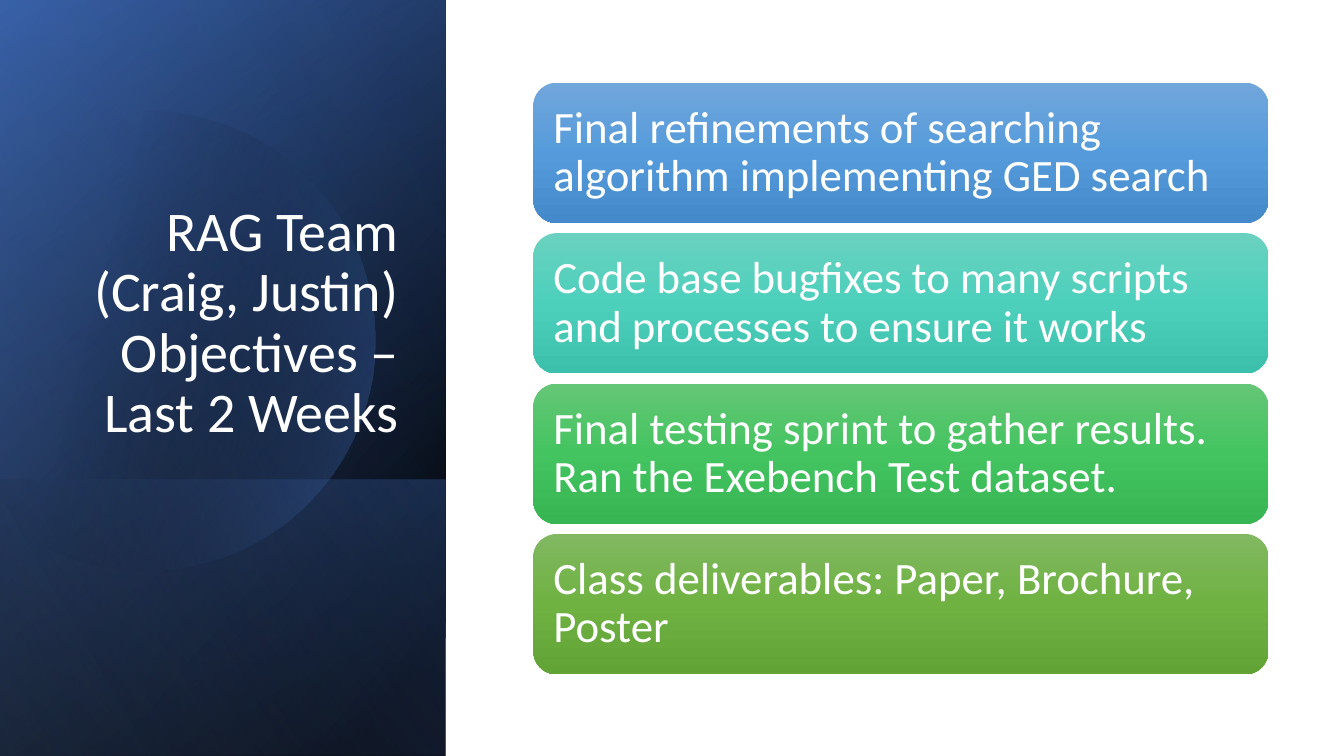
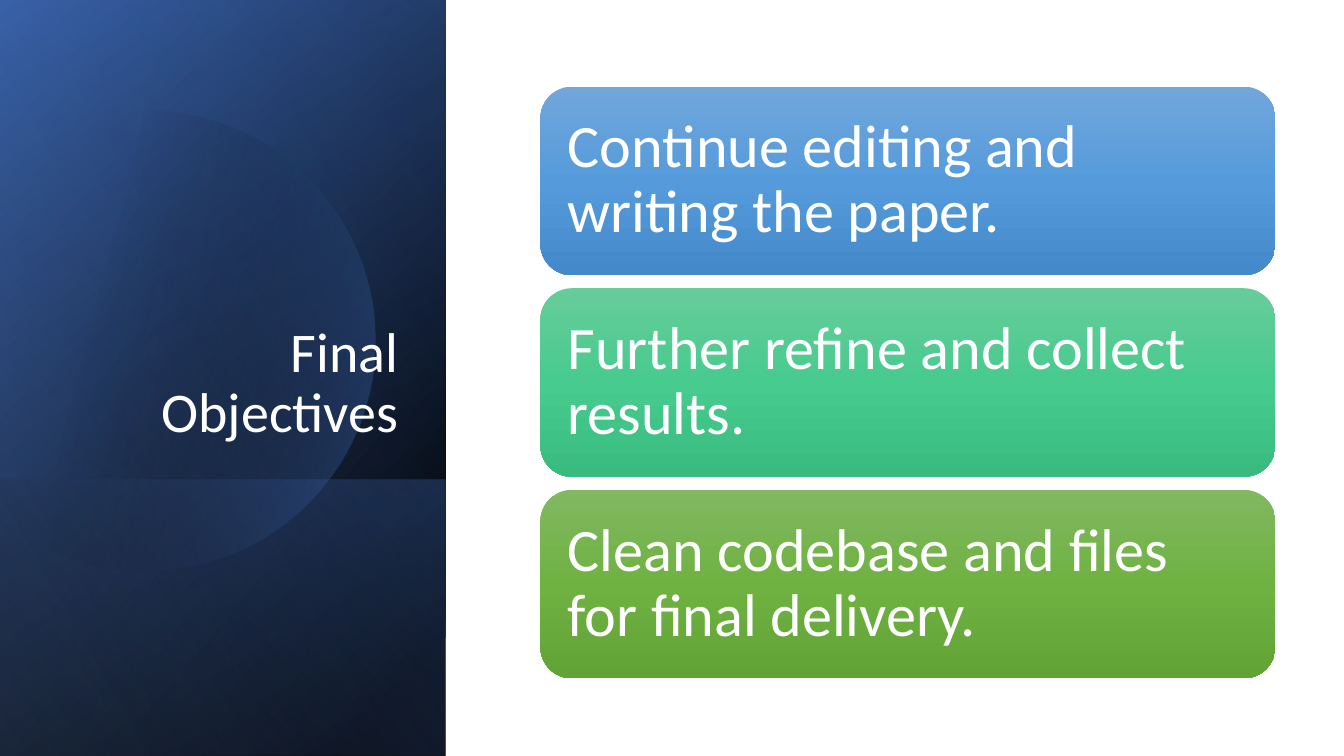
from math import acos, cos, sin

from lxml.etree import SubElement
from pptx import Presentation
from pptx.dml.color import RGBColor
from pptx.enum.shapes import MSO_SHAPE
from pptx.enum.text import MSO_ANCHOR, PP_ALIGN
from pptx.oxml.ns import qn
from pptx.util import Inches, Pt

# Colours
WHITE = RGBColor(0xFF, 0xFF, 0xFF)
BLACK = RGBColor(0x00, 0x00, 0x00)
NAVY = RGBColor(0x2F, 0x55, 0x97)
BLUE = RGBColor(0x44, 0x72, 0xC4)
PALE_BLUE = RGBColor(0x8F, 0xAA, 0xDC)

# Card gradients, top to bottom
SKY = [RGBColor(0x71, 0xA6, 0xDB), RGBColor(0x55, 0x9B, 0xDB), RGBColor(0x44, 0x8A, 0xCA)]
TEAL = [RGBColor(0x6A, 0xD1, 0xC0), RGBColor(0x4C, 0xD0, 0xBC), RGBColor(0x3C, 0xC0, 0xAC)]
MINT = [RGBColor(0x67, 0xCC, 0x9A), RGBColor(0x47, 0xCB, 0x8E), RGBColor(0x39, 0xBB, 0x7F)]
GREEN = [RGBColor(0x64, 0xC6, 0x77), RGBColor(0x44, 0xC4, 0x60), RGBColor(0x36, 0xB5, 0x52)]
LIME = [RGBColor(0x81, 0xB8, 0x61), RGBColor(0x6F, 0xB2, 0x42), RGBColor(0x62, 0xA3, 0x36)]

# Content
SLIDES = [
    {
        "title": "RAG Team (Craig, Justin) Objectives – Last 2 Weeks",
        "left": 5.29, "top": 0.82, "gap": 0.1, "inset": 0.13, "size": 32,
        "cards": [
            ("Final refinements of searching algorithm implementing GED search", SKY),
            ("Code base bugfixes to many scripts and processes to ensure it works", TEAL),
            ("Final testing sprint to gather results. Ran the Exebench Test dataset.", GREEN),
            ("Class deliverables: Paper, Brochure, Poster", LIME),
        ],
    },
    {
        "title": "Final Objectives",
        "left": 5.36, "top": 0.86, "gap": 0.13, "inset": 0.18, "size": 43,
        "cards": [
            ("Continue editing and writing the paper.", SKY),
            ("Further refine and collect results.", MINT),
            ("Clean codebase and files for final delivery.", LIME),
        ],
    },
]

# Layout, in inches
SLIDE_WIDTH, SLIDE_HEIGHT = 13.33, 7.5
PANEL_WIDTH = 4.42
FOOT_TOP = 4.76
CARD_WIDTH, STACK_HEIGHT = 7.29, 5.87
TITLE_BOX = (0.64, 1.84, 3.41, 2.62)
DISC_X, DISC_Y, DISC_RADIUS = 1.44, 3.38, 2.28
DISC_STEPS = 120

# Panel layers: top, clockwise angle, stops of (position %, colour, opacity %)
LAYERS_BELOW_DISC = [
    (0, 220, [(8, BLACK, 100), (100, NAVY, 100)]),
    (0, 240, [(0, BLACK, 0), (99, BLUE, 46)]),
    (FOOT_TOP, 140, [(2, BLUE, 29), (100, BLACK, 30)]),
]
DISC_ANGLE, DISC_STOPS = 14, [(29, BLACK, 0), (100, BLUE, 43)]
LAYER_ABOVE_DISC = (0, 150, [(0, BLACK, 0), (99, PALE_BLUE, 11)])


def paint_gradient(shape, angle, stops):
    shape.shadow.inherit = False
    shape.line.fill.background()
    shape.fill.gradient()
    shape.fill.gradient_angle = (360 - angle) % 360
    stop_list = shape.element.spPr.find(qn("a:gradFill")).find(qn("a:gsLst"))
    for stop in list(stop_list):
        stop_list.remove(stop)
    for position, colour, opacity in stops:
        stop = SubElement(stop_list, qn("a:gs"), pos=str(position * 1000))
        paint = SubElement(stop, qn("a:srgbClr"), val=str(colour))
        if opacity < 100:
            SubElement(paint, qn("a:alpha"), val=str(opacity * 1000))


def write_text(shape, text, size, align, frame_format):
    frame = shape.text_frame
    for name, value in {"word_wrap": True, **frame_format}.items():
        setattr(frame, name, value)
    paragraph = frame.paragraphs[0]
    paragraph.text = text
    paragraph.alignment = align
    paragraph.line_spacing = 0.9
    for name, value in {"name": "Calibri", "size": Pt(size)}.items():
        setattr(paragraph.font, name, value)
    paragraph.font.color.rgb = WHITE


def add_layer(slide, top, angle, stops):
    layer = slide.shapes.add_shape(
        MSO_SHAPE.RECTANGLE, 0, Inches(top), Inches(PANEL_WIDTH), Inches(SLIDE_HEIGHT - top))
    paint_gradient(layer, angle, stops)


def add_disc(slide):
    # Circle cut by the left edge of the slide
    reach = acos(-DISC_X / DISC_RADIUS)
    angles = [reach * (2 * step / DISC_STEPS - 1) for step in range(DISC_STEPS + 1)]
    points = [(Inches(DISC_X + DISC_RADIUS * cos(angle)),
               Inches(DISC_Y + DISC_RADIUS * sin(angle))) for angle in angles]
    builder = slide.shapes.build_freeform(*points[0])
    builder.add_line_segments(points[1:], close=True)
    paint_gradient(builder.convert_to_shape(), DISC_ANGLE, DISC_STOPS)


def add_title_panel(slide, title):
    for layer in LAYERS_BELOW_DISC:
        add_layer(slide, *layer)
    add_disc(slide)
    add_layer(slide, *LAYER_ABOVE_DISC)
    title_box = slide.shapes.add_textbox(*map(Inches, TITLE_BOX))
    write_text(title_box, title, 40, PP_ALIGN.RIGHT, {"vertical_anchor": MSO_ANCHOR.BOTTOM})


def add_cards(slide, content):
    cards, gap = content["cards"], content["gap"]
    height = (STACK_HEIGHT - gap * (len(cards) - 1)) / len(cards)
    frame_format = {"vertical_anchor": MSO_ANCHOR.MIDDLE}
    for side in ("left", "top", "right", "bottom"):
        frame_format["margin_" + side] = Inches(content["inset"])
    for row, (text, colours) in enumerate(cards):
        top = content["top"] + row * (height + gap)
        card = slide.shapes.add_shape(
            MSO_SHAPE.ROUNDED_RECTANGLE, Inches(content["left"]), Inches(top),
            Inches(CARD_WIDTH), Inches(height))
        paint_gradient(card, 90, [(50 * step, colour, 100) for step, colour in enumerate(colours)])
        write_text(card, text, content["size"], PP_ALIGN.LEFT, frame_format)


def main():
    presentation = Presentation()
    presentation.slide_width = Inches(SLIDE_WIDTH)
    presentation.slide_height = Inches(SLIDE_HEIGHT)
    for content in SLIDES:
        slide = presentation.slides.add_slide(presentation.slide_layouts[6])
        add_title_panel(slide, content["title"])
        add_cards(slide, content)
    presentation.save("out.pptx")


if __name__ == "__main__":
    main()
